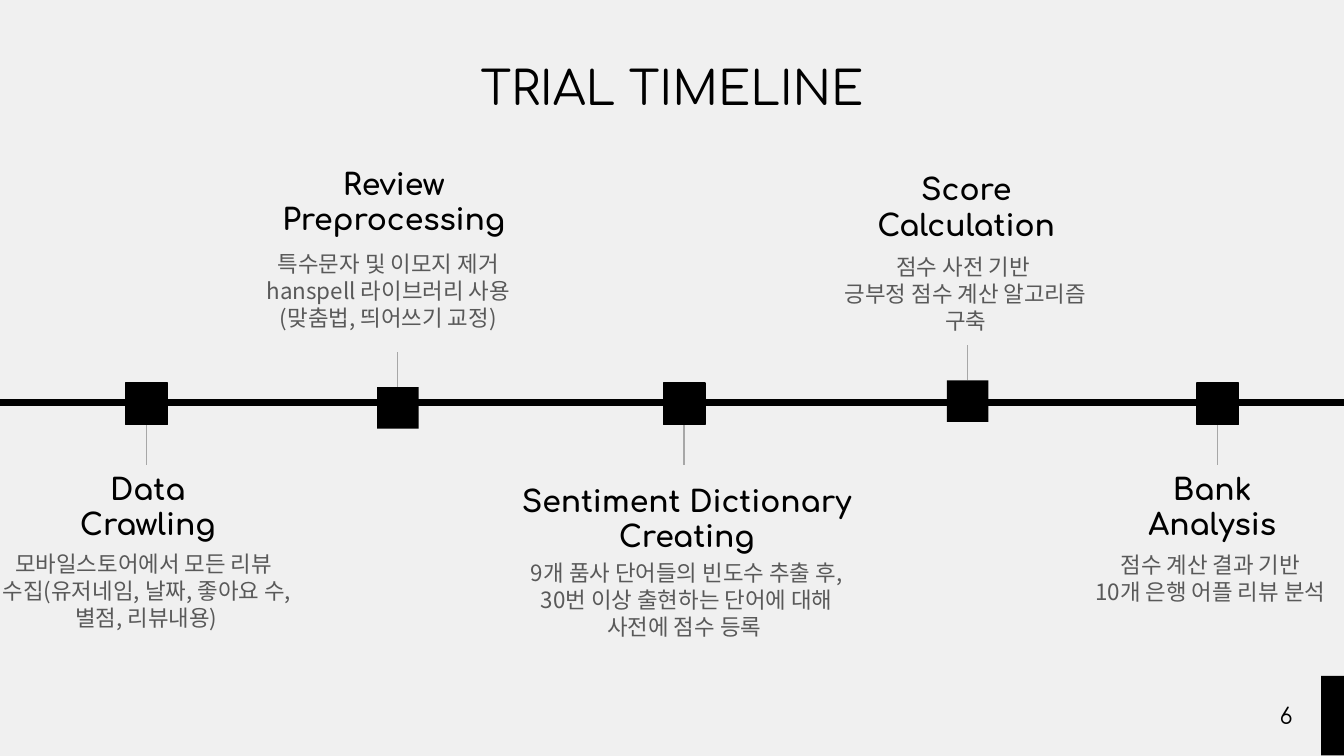
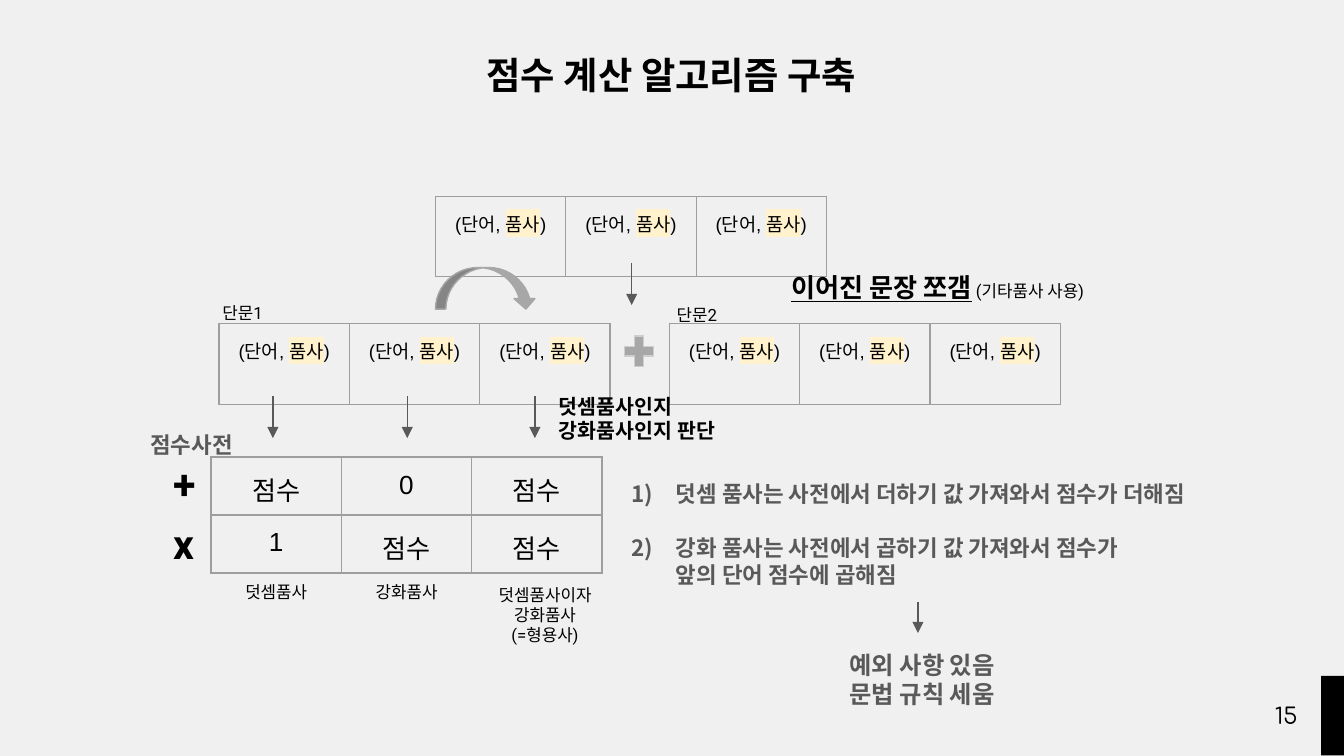
from lxml.etree import SubElement
from pptx import Presentation
from pptx.dml.color import RGBColor
from pptx.enum.shapes import MSO_CONNECTOR, MSO_SHAPE
from pptx.enum.text import MSO_ANCHOR, MSO_AUTO_SIZE, PP_ALIGN
from pptx.oxml.ns import qn
from pptx.util import Inches, Pt

BLACK = RGBColor(0x00, 0x00, 0x00)
GREY = RGBColor(0x59, 0x59, 0x59)
MID = RGBColor(0xA7, 0xA7, 0xA7)
PALE = RGBColor(0xCE, 0xCE, 0xCE)
BORDER = RGBColor(0x9E, 0x9E, 0x9E)
PAPER = RGBColor(0xF0, 0xF0, 0xF0)
CREAM = RGBColor(0xFF, 0xF2, 0xCC)

# Grid: 100 columns across, square cells
W, H = Inches(10), Inches(5.625)
CELL = W // 100

KOREAN = "Noto Sans CJK KR"
TITLE = dict(name="Comfortaa", size=25, color=BLACK)
HEADING = dict(name="Comfortaa", size=16, bold=True, color=BLACK)
NUMBER = dict(name="Comfortaa", size=12, color=BLACK)
BODY = dict(name=KOREAN, size=12, color=GREY)
BODY_BOLD = dict(BODY, bold=True)
LABEL = dict(name="Roboto", size=9, color=BLACK)
SIGN = dict(LABEL, size=22, bold=True)
WORD = dict(name="Arial", size=10, color=BLACK)
SCORE = dict(WORD, size=14)

CENTER, LEFT = PP_ALIGN.CENTER, PP_ALIGN.LEFT
TOP, MIDDLE = MSO_ANCHOR.TOP, MSO_ANCHOR.MIDDLE


def grid(*cells):
    return [round(c * CELL) for c in cells]


# ---- Text ----
def add_run(p, text, fmt):
    r = p.add_run()
    r.text = text
    for key, value in fmt.items():
        if key == "color":
            r.font.color.rgb = value
        elif key == "size":
            r.font.size = Pt(value)
        elif key != "highlight":
            setattr(r.font, key, value)
    rPr = r._r.get_or_add_rPr()
    if fmt["name"] == KOREAN:
        ea = SubElement(rPr, qn("a:ea"), typeface=KOREAN)
        rPr.find(qn("a:latin")).addnext(ea)
    if "highlight" in fmt:
        mark = SubElement(rPr, qn("a:highlight"))
        SubElement(mark, qn("a:srgbClr"), val=str(fmt["highlight"]))
        rPr.find(qn("a:solidFill")).addnext(mark)


def fill_text(tf, paragraphs, fmt, align=CENTER, indent=0):
    """A paragraph is a string or a list of (text, format changes)."""
    for i, runs in enumerate(paragraphs):
        p = tf.paragraphs[0] if i == 0 else tf.add_paragraph()
        p.alignment = align
        if indent:
            p._p.get_or_add_pPr().set("marL", str(Inches(indent)))
        for text, changes in [(runs, {})] if isinstance(runs, str) else runs:
            add_run(p, text, {**fmt, **changes})


def set_insets(target):
    for side in ("left", "right", "top", "bottom"):
        setattr(target, f"margin_{side}", Inches(0.1))


def add_text(s, box, paragraphs, fmt, align=CENTER, anchor=TOP, indent=0, grow=False):
    tf = s.shapes.add_textbox(*grid(*box)).text_frame
    tf.word_wrap = True
    tf.auto_size = MSO_AUTO_SIZE.SHAPE_TO_FIT_TEXT if grow else MSO_AUTO_SIZE.NONE
    tf.vertical_anchor = anchor
    set_insets(tf)
    fill_text(tf, paragraphs, fmt, align, indent)
    return tf


# ---- Shapes and lines ----
def add_block(shapes, kind, box, fill, line=None):
    sp = shapes.add_shape(kind, *grid(*box))
    sp.shadow.inherit = False
    sp.fill.solid()
    sp.fill.fore_color.rgb = fill
    if line is None:
        sp.line.fill.background()
    else:
        sp.line.color.rgb = line
        sp.line.width = Pt(0.75)
    return sp


def add_vertical(shapes, x, y1, y2, color, arrow=False):
    line = shapes.add_connector(MSO_CONNECTOR.STRAIGHT, *grid(x, y1, x, y2))
    line.line.color.rgb = color
    line.line.width = Pt(0.75)
    if arrow:
        SubElement(line.line._get_or_add_ln(), qn("a:tailEnd"), type="triangle")
    SubElement(line._element.spPr, qn("a:effectLst"))


def add_row_table(s, x, y, row, fmt):
    """One bordered row of equal cells."""
    col, height = 9.7, 4.2
    frame = s.shapes.add_table(1, len(row), *grid(x, y, col * len(row), height))
    table = frame.table
    table.first_row = table.horz_banding = False
    for cell, content in zip(table.iter_cells(), row):
        cell.fill.background()
        set_insets(cell)
        fill_text(cell.text_frame, [content], fmt)
        tcPr = cell._tc.get_or_add_tcPr()
        for i, edge in enumerate(("lnL", "lnR", "lnT", "lnB")):
            ln = SubElement(tcPr, qn(f"a:{edge}"), w=str(Pt(0.75)))
            fill = SubElement(ln, qn("a:solidFill"))
            SubElement(fill, qn("a:srgbClr"), val=str(BORDER))
            tcPr.insert(i, ln)


# ---- Shared slide frame ----
def new_slide(prs, number):
    s = prs.slides.add_slide(prs.slide_layouts[6])
    s.background.fill.solid()
    s.background.fill.fore_color.rgb = PAPER
    add_block(s.shapes, MSO_SHAPE.RECTANGLE, (98.3, 50.3, 1.7, 5.9), BLACK)
    add_text(s, (92.7, 51.1, 6, 4.3), [str(number)], NUMBER, anchor=MIDDLE)
    return s


# ---- Timeline slide ----
def add_milestone(s, x, y, stem):
    """Square at column x, row y, with a stem up (negative) or down."""
    side = 3.1
    shapes = s.shapes.add_group_shape().shapes
    edge = y + side if stem > 0 else y
    add_vertical(shapes, x, edge, edge + stem, MID)
    add_block(shapes, MSO_SHAPE.RECTANGLE, (x - side / 2, y, side, side), BLACK,
              BLACK if stem > 0 else None)


def timeline_slide(prs):
    s = new_slide(prs, 6)
    add_text(s, (7.8, 3.4, 84.4, 5.2), ["TRIAL TIMELINE"], TITLE)
    add_block(s.shapes, MSO_SHAPE.RECTANGLE, (0, 29.7, 100.3, 0.5), BLACK)

    # column, row, stem, heading box, heading, body box, body, body indent
    steps = [
        (10.9, 28.5, 3, (0.6, 34.6, 20.8, 6.1), ["Data", "Crawling"],
         (-5.8, 39.9, 28, 8.1),
         ["모바일스토어에서 모든 리뷰 수집(유저네임, 날짜, 좋아요 수, 별점, 리뷰내용)"], 0.5),
        (29.6, 28.8, -2.6, (18.9, 11.3, 20.8, 3.7), ["Review", "Preprocessing"],
         (12.1, 15.2, 28.6, 12.8),
         ["특수문자 및 이모지 제거", "hanspell 라이브러리 사용", "(맞춤법, 띄어쓰기 교정)"], 0.5),
        (50.9, 28.5, 3, (36.4, 35.5, 29.4, 6.1), ["Sentiment Dictionary", "Creating"],
         (32.5, 38.2, 32.2, 12.8),
         ["9개 품사 단어들의 빈도수 추출 후, 30번 이상 출현하는 단어에 대해 사전에 점수 등록 "], 0.5),
        (72, 28.3, -2.6, (61.5, 11.7, 20.8, 3.7), ["Score", "Calculation"],
         (61.7, 16.3, 20.3, 11.1),
         ["점수 사전 기반 ", "긍부정 점수 계산 알고리즘 구축"], 0),
        (90.6, 28.5, 3, (79.8, 34.6, 20.8, 6.1), ["Bank", "Analysis"],
         (80.1, 36.6, 20.3, 12.8),
         ["점수 계산 결과 기반 ", "10개 은행 어플 리뷰 분석 "], 0),
    ]
    for x, y, stem, head_box, head, body_box, body, indent in steps:
        add_milestone(s, x, y, stem)
        add_text(s, head_box, head, HEADING, anchor=MIDDLE if stem > 0 else TOP)
        add_text(s, body_box, body, BODY, anchor=MIDDLE, indent=indent)


# ---- Algorithm slide ----
def split_sentence(s):
    """Sentence at the top, split into two clauses below."""
    pair = [("(단어, ", {}), ("품사", {"highlight": CREAM}), (")", {})]
    for x, y in ((16.3, 24.1), (32.4, 14.6), (49.8, 24.1)):
        add_row_table(s, x, y, [pair] * 3, WORD)
    add_vertical(s.shapes, 47, 19.6, 22.7, GREY, arrow=True)
    add_text(s, (57.9, 19.2, 37.9, 4.4),
             [[("이어진 문장 쪼갬", dict(size=14, bold=True, underline=True)),
               (" (기타품사 사용)", {})]], LABEL, LEFT, grow=True)
    for x, y, name in ((13.2, 21.8, "단문1"), (47, 21.9, "단문2")):
        add_text(s, (x, y, 9.7, 3.5), [name], LABEL, grow=True)
    plus = add_block(s.shapes, MSO_SHAPE.MATH_PLUS, (46.1, 24.6, 2.9, 3.1), MID, PALE)
    plus.adjustments[0] = 0.235
    add_block(s.shapes, MSO_SHAPE.CURVED_DOWN_ARROW, (32.4, 19.9, 7.5, 3.1), MID, MID)


def score_lookup(s):
    """Score rows with their signs and column labels."""
    for x in (20.3, 30.3, 39.8):
        add_vertical(s.shapes, x, 29.5, 32.6, GREY, arrow=True)
    add_text(s, (40.6, 28.3, 16.4, 5.7), ["덧셈품사인지", "강화품사인지 판단"],
             dict(LABEL, size=11, bold=True), LEFT, grow=True)
    rows = [(34, 33.1, "+", ["점수", "0", "점수"]),
            (38.3, 37.6, "x", ["1", "점수", "점수"])]
    for y, sign_y, sign, row in rows:
        add_row_table(s, 15.7, y, row, SCORE)
        add_text(s, (11.9, sign_y, 6, 5.7), [sign], SIGN, LEFT, grow=True)
    add_text(s, (10.2, 31.1, 8.5, 4), ["점수사전"], BODY_BOLD, LEFT, grow=True)
    labels = [(15.7, 3.5, ["덧셈품사"]), (25.4, 3.5, ["강화품사"]),
              (35.7, 6.6, ["덧셈품사이자 강화품사", "(=형용사)"])]
    for x, h, text in labels:
        add_text(s, (x, 42.5, 9.7, h), text, LABEL, grow=True)


def rules(s):
    """Numbered rules and the note on exceptions."""
    tf = add_text(s, (44.3, 34.7, 47.9, 10.1),
                  ["덧셈 품사는 사전에서 더하기 값 가져와서 점수가 더해짐",
                   "강화 품사는 사전에서 곱하기 값 가져와서 점수가",
                   "앞의 단어 점수에 곱해짐"], BODY_BOLD, LEFT, indent=0.5, grow=True)
    for p in tf.paragraphs[:2]:
        pPr = p._p.get_or_add_pPr()
        pPr.set("indent", str(Inches(-0.33)))
        color = SubElement(pPr, qn("a:buClr"))
        SubElement(color, qn("a:srgbClr"), val=str(GREY))
        SubElement(pPr, qn("a:buAutoNum"), type="arabicParenR")
    tf.paragraphs[1].space_before = Pt(14.5)
    add_vertical(s.shapes, 68.3, 44.8, 47.1, GREY, arrow=True)
    add_text(s, (51, 47.4, 35.2, 6.4), ["예외 사항 있음", "문법 규칙 세움"],
             dict(BODY_BOLD, size=13), grow=True)


def algorithm_slide(prs):
    s = new_slide(prs, 15)
    add_text(s, (30.2, 2.9, 39.5, 5.2), ["점수 계산 알고리즘 구축"],
             dict(TITLE, name=KOREAN, size=20, bold=True))
    split_sentence(s)
    score_lookup(s)
    rules(s)


def main():
    prs = Presentation()
    prs.slide_width, prs.slide_height = W, H
    timeline_slide(prs)
    algorithm_slide(prs)
    prs.save("out.pptx")


if __name__ == "__main__":
    main()
